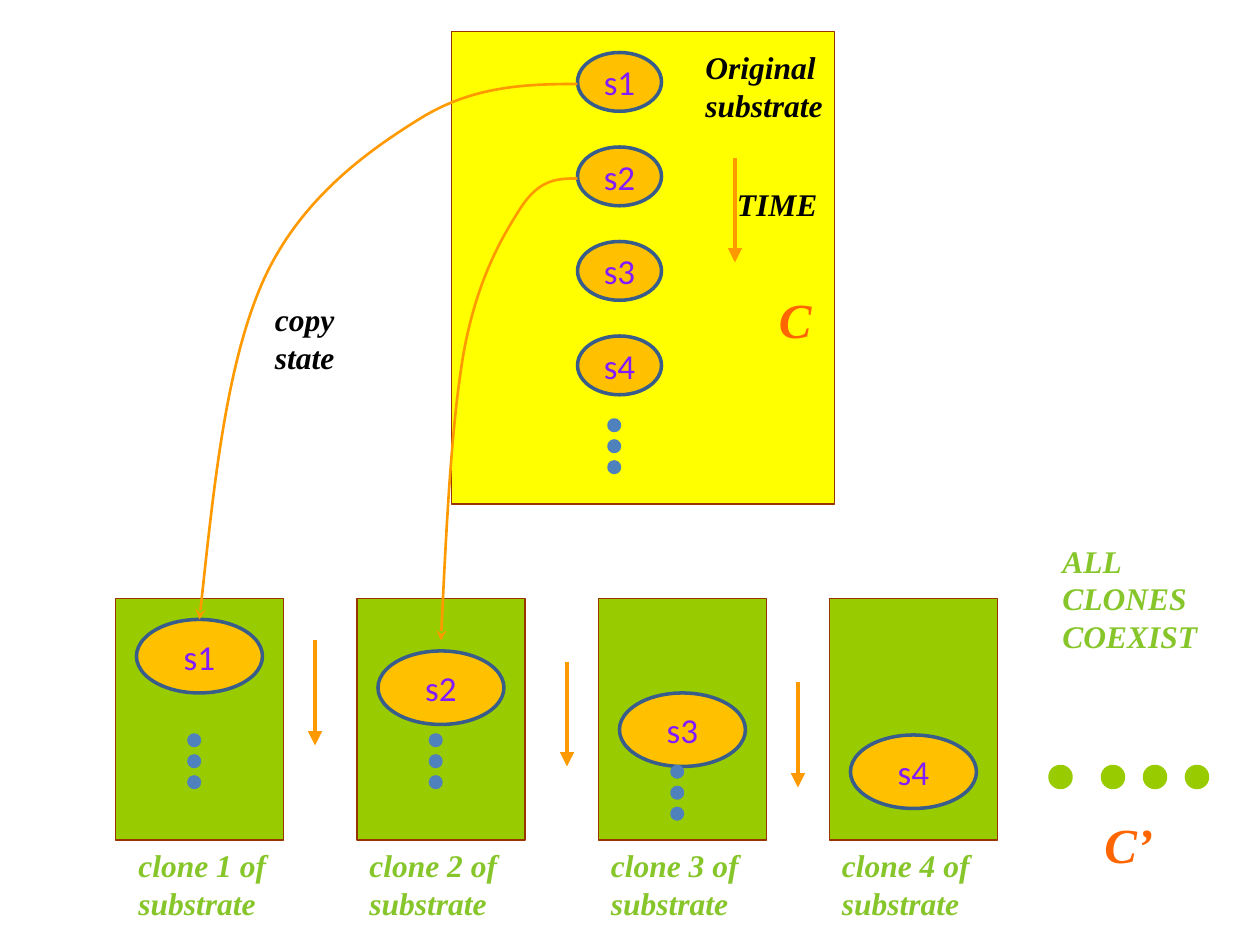
from lxml import etree
from pptx import Presentation
from pptx import util as u
from pptx.dml import color
from pptx.enum import shapes, text
from pptx.oxml import ns

COLORS = {
    "yellow": "FFFF00", "green": "99CC00", "brown": "993300", "amber": "FFC000",
    "navy": "385D8A", "blue": "4F81BD", "purple": "821BFF", "orange": "FF9900",
    "red": "FF6600", "lime": "87C62A", "black": "000000",
}


def rgb(name):
    return color.RGBColor.from_string(COLORS[name])


class Diagram:
    """Draws styled elements on a slide, measured in a grid of 120 columns by 90 rows."""

    def __init__(self, presentation):
        self.slide = presentation.slides.add_slide(presentation.slide_layouts[6])
        self.column = presentation.slide_width / 120
        self.row = presentation.slide_height / 90

    def place(self, left, top):
        return u.Emu(round(left * self.column)), u.Emu(round(top * self.row))

    def shape(self, kind, left, top, width, height, fill, line, weight):
        shape = self.slide.shapes.add_shape(kind, *self.place(left, top), *self.place(width, height))
        shape.shadow.inherit = False
        shape.fill.solid()
        shape.fill.fore_color.rgb = rgb(fill)
        shape.line.color.rgb = rgb(line)
        shape.line.width = u.Pt(weight)
        return shape

    def substrate(self, left, top, width, height, fill):
        self.shape(shapes.MSO_SHAPE.RECTANGLE, left, top, width, height, fill, "brown", 0.75)

    def state(self, name, left, top, width, height):
        oval = self.shape(shapes.MSO_SHAPE.OVAL, left, top, width, height, "amber", "navy", 2)
        frame = oval.text_frame
        frame.text = name
        frame.vertical_anchor = text.MSO_ANCHOR.MIDDLE
        paragraph = frame.paragraphs[0]
        paragraph.alignment = text.PP_ALIGN.CENTER
        self.style(paragraph, "Calibri", 20, "purple")

    def dot(self, left, top, size, fill):
        self.shape(shapes.MSO_SHAPE.OVAL, left, top, size, size, fill, fill, 2)

    def ellipsis(self, left, top):
        for index in range(3):
            self.dot(left, top + 2 * index, 1, "blue")

    def style(self, paragraph, font, size, fill, emphasis=False):
        paragraph.font.name = font
        paragraph.font.size = u.Pt(size)
        paragraph.font.color.rgb = rgb(fill)
        paragraph.font.bold = paragraph.font.italic = emphasis

    def label(self, wording, left, top, width, height, fill, size=18):
        box = self.slide.shapes.add_textbox(*self.place(left, top), *self.place(width, height))
        box.text_frame.word_wrap = True
        box.text_frame.text = wording
        for paragraph in box.text_frame.paragraphs:
            self.style(paragraph, "Times New Roman", size, fill, True)

    def stroke(self, shape, weight, head):
        shape.line.color.rgb = rgb("orange")
        shape.line.width = u.Pt(weight)
        properties = shape.element.spPr
        etree.SubElement(properties.find(ns.qn("a:ln")), ns.qn("a:tailEnd"), type=head)
        etree.SubElement(properties, ns.qn("a:effectLst"))

    def time_arrow(self, left, top):
        ends = *self.place(left, top), *self.place(left, top + 10)
        arrow = self.slide.shapes.add_connector(shapes.MSO_CONNECTOR.STRAIGHT, *ends)
        self.stroke(arrow, 2.75, "triangle")

    def copy_curve(self, start, *points):
        builder = self.slide.shapes.build_freeform(*self.place(*start))
        builder.add_line_segments([self.place(*point) for point in points], close=False)
        curve = builder.convert_to_shape()
        curve.fill.background()
        segments = list(curve.element.iter(ns.qn("a:lnTo")))
        for first in range(0, len(segments), 3):
            bezier = etree.Element(ns.qn("a:cubicBezTo"))
            segments[first].addprevious(bezier)
            for segment in segments[first:first + 3]:
                bezier.append(segment[0])
                segment.getparent().remove(segment)
        self.stroke(curve, 1.5, "stealth")


def main():
    presentation = Presentation()
    presentation.slide_width, presentation.slide_height = u.Inches(10), u.Inches(7.5)
    diagram = Diagram(presentation)

    diagram.substrate(43, 3, 36.5, 45, "yellow")
    for index in range(4):
        diagram.state(f"s{index + 1}", 55, 5 + 9 * index, 8, 5.6)
    diagram.ellipsis(58, 40)
    diagram.time_arrow(70, 15)
    diagram.label("Original\nsubstrate", 66, 4, 18, 8.4, "black")
    diagram.label("TIME", 69, 17, 13, 4.8, "black")
    diagram.label("C", 73, 27, 10, 6.8, "red", 28)

    clones = [(11, 59, 12, 70), (34, 62, 34, 70), (57, 66, 57, 73), (79, 70, 79, None)]
    for number, (left, state_top, label_left, dots_top) in enumerate(clones, 1):
        diagram.substrate(left, 57, 16, 23, "green")
        diagram.state(f"s{number}", left + 2, state_top, 12, 7)
        diagram.label(f"clone {number} of\nsubstrate", label_left, 80, 16, 8.4, "lime")
        if dots_top:
            diagram.ellipsis(left + 7, dots_top)
    for index, left in enumerate((30, 54, 76)):
        diagram.time_arrow(left, 61 + 2 * index)

    diagram.copy_curve((55, 8), (50, 8), (45, 8.2), (40, 11.3), (35, 14.4), (28.5, 19),
                       (25, 26.9), (21.5, 34.9), (20.3, 46.9), (19, 59))
    diagram.copy_curve((55, 17), (53.2, 17), (51.4, 17), (49.6, 19.8), (47.8, 22.6), (45.5, 26.5),
                       (44.2, 33.4), (43, 40.2), (42.5, 50.6), (42, 61))
    diagram.label("copy state", 25, 28, 10, 8.4, "black")

    diagram.label("ALL CLONES COEXIST", 100, 51, 16, 12, "lime")
    for left in (100, 105, 109, 113):
        diagram.dot(left, 73, 2, "green")
    diagram.label("C’", 104, 77, 10, 6.8, "red", 28)

    presentation.save("out.pptx")


if __name__ == "__main__":
    main()
